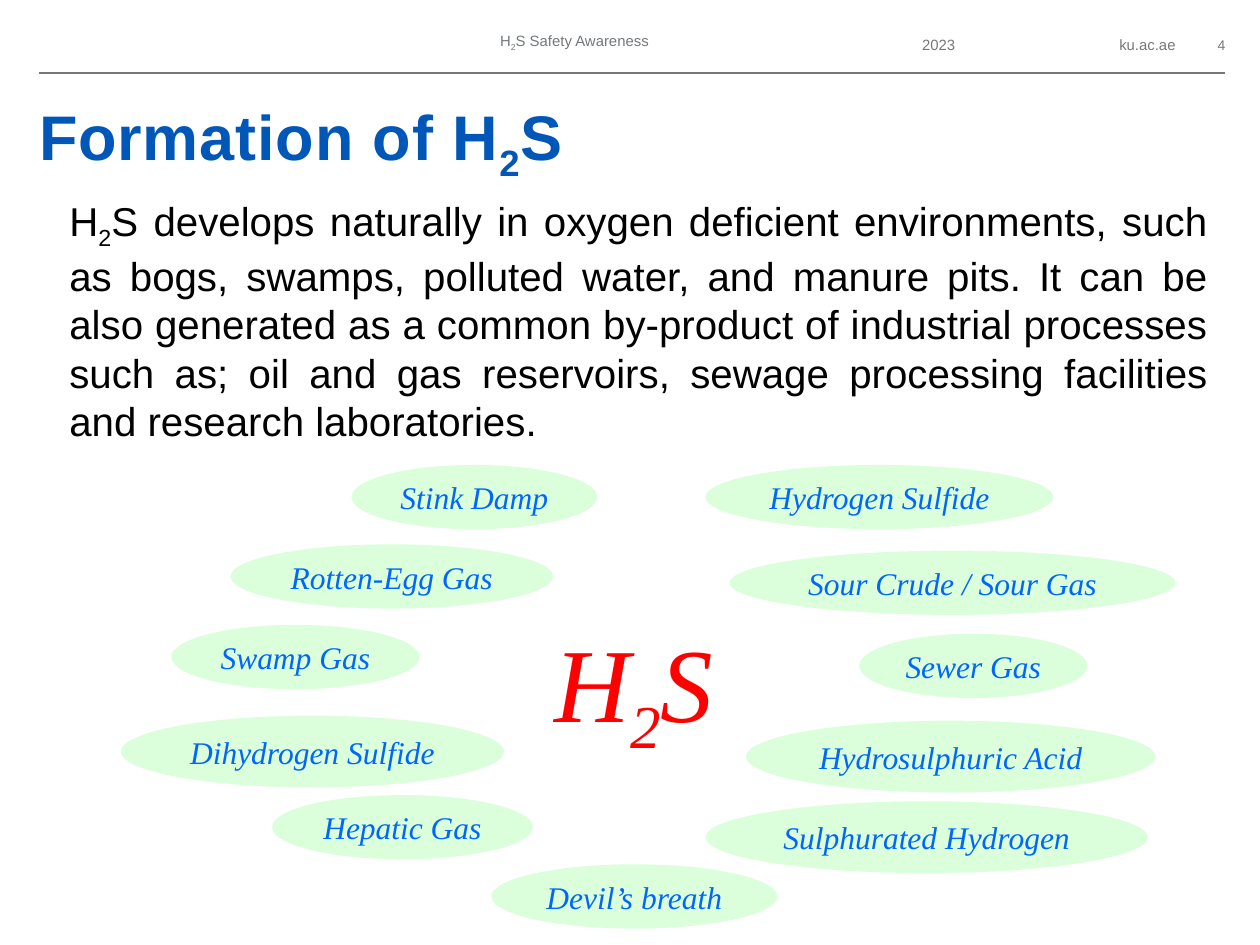
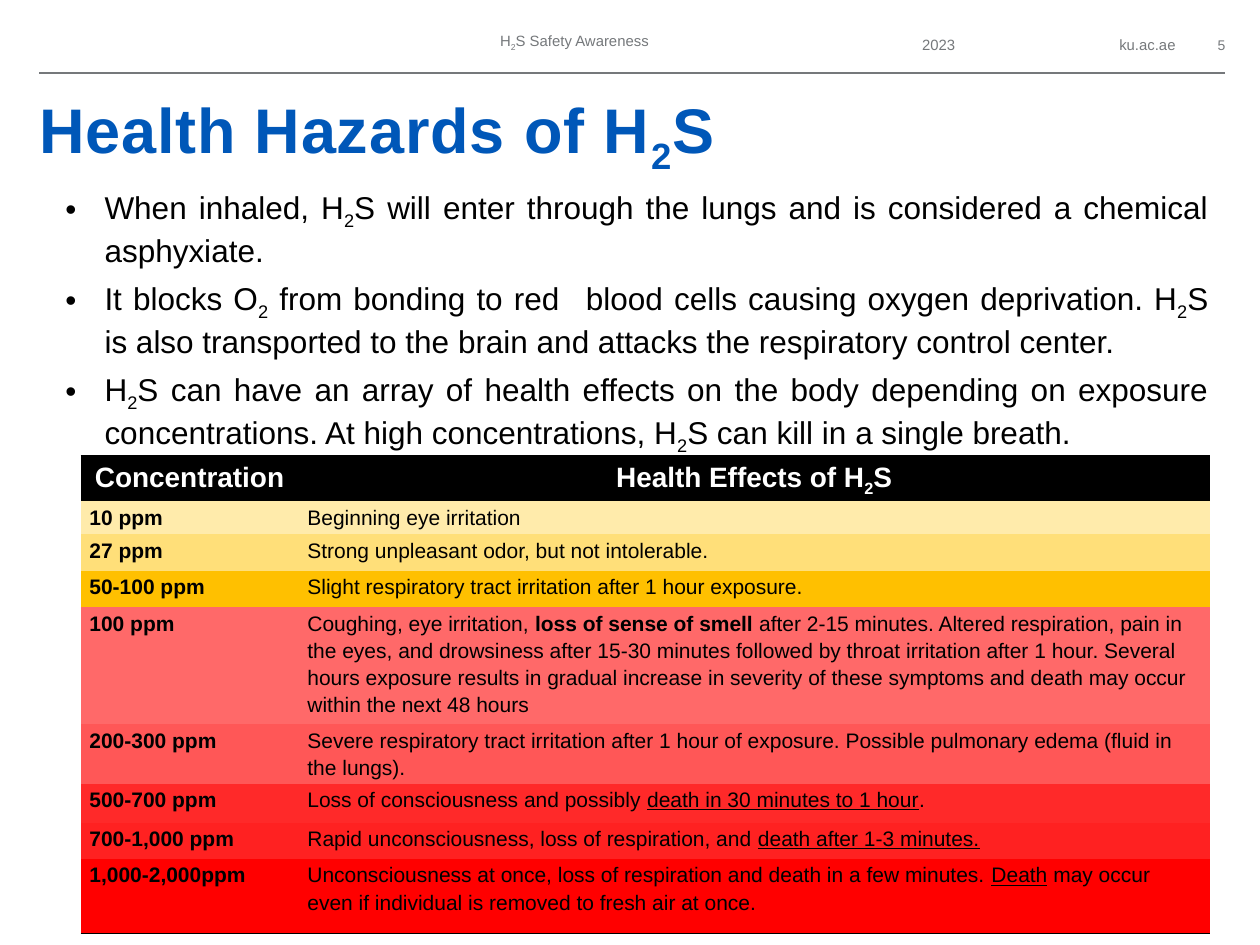
from lxml import etree
from pptx import Presentation, util as u
from pptx.dml.color import RGBColor
from pptx.enum import shapes, text
from pptx.oxml import ns

# Shared look
SANS, SERIF = "Arial", "Times New Roman"
BLUE, GREY, BLACK, WHITE = "0057B8", "75787B", "000000", "FFFFFF"
MINT, NAME_BLUE, RED = "A3FFA3", "0066FF", "FF0000"
LEFT, CENTER, RIGHT = text.PP_ALIGN.LEFT, text.PP_ALIGN.CENTER, text.PP_ALIGN.RIGHT
JUSTIFY = text.PP_ALIGN.JUSTIFY
TOP, MIDDLE, BOTTOM = text.MSO_ANCHOR.TOP, text.MSO_ANCHOR.MIDDLE, text.MSO_ANCHOR.BOTTOM
FIRST_NUMBER = 4

# Content: pieces are split by "|"; ~ is subscript, * bold, _ underlined
HEADER = [  # text, (left, top, width, height), size, alignment
    ("H|~2|S Safety Awareness", (2.88, 0.2, 3.36, 0.27), 8.5, CENTER),
    ("2023", (6.74, 0.22, 1.42, 0.27), 8.5, CENTER),
    ("ku.ac.ae", (8.54, 0.22, 0.79, 0.27), 8.5, RIGHT),
]
NUMBER_AREA = (9.48, 0.22, 0.43, 0.27)
RULE = (0.31, 9.72, 0.58)

FORMATION = (
    "H|~2|S develops naturally in oxygen deficient environments, such as bogs, "
    "swamps, polluted water, and manure pits. It can be also generated as a common "
    "by-product of industrial processes such as; oil and gas reservoirs, sewage "
    "processing facilities and research laboratories."
)
OTHER_NAMES = [  # name, (left, top, width, height)
    ("Stink Damp", (2.79, 3.69, 1.95, 0.51)),
    ("Rotten-Egg Gas", (1.83, 4.32, 2.56, 0.51)),
    ("Swamp Gas", (1.36, 4.96, 1.97, 0.51)),
    ("Dihydrogen Sulfide", (0.96, 5.68, 3.04, 0.57)),
    ("Hepatic Gas", (2.16, 6.31, 2.07, 0.51)),
    ("Devil’s breath", (3.9, 6.86, 2.27, 0.51)),
    ("Sulphurated Hydrogen", (5.6, 6.36, 3.51, 0.57)),
    ("Hydrosulphuric Acid", (5.92, 5.72, 3.25, 0.57)),
    ("Sewer Gas", (6.82, 5.03, 1.81, 0.51)),
    ("Sour Crude / Sour Gas", (5.79, 4.37, 3.54, 0.51)),
    ("Hydrogen Sulfide", (5.6, 3.69, 2.76, 0.51)),
]

HAZARDS = [
    "When inhaled, H|~2|S will enter through the lungs and is considered a chemical "
    "asphyxiate.",
    "It blocks O|~2| from bonding to red \tblood cells causing oxygen deprivation. "
    "H|~2|S is also transported to the brain and attacks the respiratory control center.",
    "H|~2|S can have an array of health effects on the body depending on exposure "
    "concentrations. At high concentrations, H|~2|S can kill in a single breath.",
]
COLUMNS = (1.73, 7.23)
EFFECTS = [  # row height, fill, concentration, effect
    (0.36, BLACK, "Concentration", "Health Effects of H|~2|S"),
    (0.26, "FFEBAB", "10 ppm", "Beginning eye irritation"),
    (0.29, "FFDF79", "27 ppm", "Strong unpleasant odor, but not intolerable."),
    (0.29, "FFC000", "50-100 ppm",
     "Slight respiratory tract irritation after 1 hour exposure."),
    (0.93, "FF6969", "100 ppm",
     "Coughing, eye irritation, |*loss of sense of smell| after 2-15 minutes. Altered "
     "respiration, pain in the eyes, and drowsiness after 15-30 minutes followed by "
     "throat irritation after 1 hour. Several hours exposure results in gradual "
     "increase in severity of these symptoms and death may occur within the next 48 hours"),
    (0.47, "FF5757", "200-300 ppm",
     "Severe respiratory tract irritation after 1 hour of exposure. Possible pulmonary "
     "edema (fluid in the lungs)."),
    (0.31, "FF2929", "500-700 ppm",
     "Loss of consciousness and possibly |_death in 30 minutes to 1 hour|."),
    (0.29, "FF2121", "700-1,000 ppm",
     "Rapid unconsciousness, loss of respiration, and |_death after 1-3 minutes."),
    (0.59, "FF0000", "1,000-2,000ppm",
     "Unconsciousness at once, loss of respiration and death in a few minutes. "
     "|_Death| may occur even if individual is removed to fresh air at once."),
]


def color(hex_string):
    return RGBColor.from_string(hex_string)


def inches(values):
    return [u.Inches(value) for value in values]


def add_xml(parent, tag, index=None, **attributes):
    element = etree.Element(ns.qn(tag), attributes)
    parent.insert(len(parent) if index is None else index, element)
    return element


def write(para, marked, size, hex_string, align=LEFT, face=SANS, bold=False,
          italic=False, spacing=1.0):
    """Fill a paragraph with marked text in one font."""
    para.alignment = align
    para.line_spacing = spacing
    font = para.font
    font.name, font.size, font.bold, font.italic = face, u.Pt(size), bold, italic
    font.color.rgb = color(hex_string)
    for piece in marked.split("|"):
        span = para.add_run()
        mark = piece[0] if piece[0] in "~*_" else ""
        span.text = piece[len(mark):]
        if mark == "~":
            span._r.get_or_add_rPr().set("baseline", "-25000")
        elif mark == "*":
            span.font.bold = True
        elif mark == "_":
            span.font.underline = True


def set_frame(frame, anchor=TOP, insets=(0, 0, 0, 0), wrap=True):
    frame.auto_size = text.MSO_AUTO_SIZE.NONE
    frame.word_wrap = wrap
    frame.vertical_anchor = anchor
    (frame.margin_left, frame.margin_top,
     frame.margin_right, frame.margin_bottom) = inches(insets)


def add_text(page, area, marked, size, hex_string, align, anchor=TOP, **style):
    frame = page.shapes.add_textbox(*inches(area)).text_frame
    set_frame(frame, anchor)
    write(frame.paragraphs[0], marked, size, hex_string, align, **style)


def add_page(deck, title, title_area):
    """Start a page with the shared header, rule and title style."""
    page = deck.slides.add_slide(deck.slide_layouts[5])
    for marked, area, size, align in HEADER:
        add_text(page, area, marked, size, GREY, align, MIDDLE)
    number = str(FIRST_NUMBER + len(deck.slides) - 1)
    add_text(page, NUMBER_AREA, number, 8, GREY, CENTER, MIDDLE)

    start, end, level = inches(RULE)
    rule = page.shapes.add_connector(shapes.MSO_CONNECTOR.STRAIGHT, start, level, end, level)
    rule.line.color.rgb = color(GREY)
    rule.line.width = u.Pt(0.75)
    add_xml(rule._element.spPr, "a:effectLst")

    box = page.shapes.title
    box.left, box.top, box.width, box.height = inches(title_area)
    set_frame(box.text_frame, BOTTOM)
    para = box.text_frame.paragraphs[0]
    write(para, title, 36, BLUE, bold=True)
    for span in para.runs:
        span._r.get_or_add_rPr().set("spc", "50")
    return page


def add_name(page, name, area):
    oval = page.shapes.add_shape(shapes.MSO_SHAPE.OVAL, *inches(area))
    oval.shadow.inherit = False
    oval.fill.solid()
    oval.fill.fore_color.rgb = color(MINT)
    tint = oval._element.spPr.find(".//" + ns.qn("a:srgbClr"))
    add_xml(tint, "a:alpha", val="40000")
    oval.line.fill.background()
    set_frame(oval.text_frame, MIDDLE, (0.1, 0.05, 0.1, 0.05), wrap=False)
    write(oval.text_frame.paragraphs[0], name, 18, NAME_BLUE, CENTER, SERIF, italic=True)


def add_bullets(page, area, items):
    frame = page.shapes.add_textbox(*inches(area)).text_frame
    set_frame(frame)
    indent = u.Inches(0.31)
    for index, item in enumerate(items):
        para = frame.add_paragraph() if index else frame.paragraphs[0]
        properties = para._p.get_or_add_pPr()
        properties.set("marL", str(indent))
        properties.set("indent", str(-indent))
        add_xml(properties, "a:buFont", typeface=SANS)
        add_xml(properties, "a:buChar", char="•")
        write(para, item, 18, BLACK, JUSTIFY)
        para.space_before = u.Pt(3 if index else 0)
        para.space_after = u.Pt(3)


def add_border(cell, side):
    line = add_xml(cell._tc.get_or_add_tcPr(), side, 0, w=str(u.Pt(1)))
    add_xml(add_xml(line, "a:solidFill"), "a:srgbClr", val=BLACK)


def add_effects_table(page, left, top):
    height = sum(row[0] for row in EFFECTS)
    area = inches((left, top, sum(COLUMNS), height))
    table = page.shapes.add_table(len(EFFECTS), len(COLUMNS), *area).table
    table.first_row = table.horz_banding = False
    style = table._tbl.tblPr.find(ns.qn("a:tableStyleId"))
    style.text = "{2D5ABB26-0587-4C30-8999-92F81FD0307C}"  # no style, no grid
    for column, width in zip(table.columns, COLUMNS):
        column.width = u.Inches(width)
    last = len(EFFECTS) - 1
    for row, (height, fill, *entries) in enumerate(EFFECTS):
        table.rows[row].height = u.Inches(height)
        head = row == 0
        for column, entry in enumerate(entries):
            cell = table.cell(row, column)
            cell.fill.solid()
            cell.fill.fore_color.rgb = color(fill)
            (cell.margin_left, cell.margin_top,
             cell.margin_right, cell.margin_bottom) = inches((0.07, 0.01, 0.07, 0))
            write(cell.text_frame.paragraphs[0], entry, 16 if head else 12,
                  WHITE if head else BLACK, CENTER if head else LEFT,
                  bold=head or column == 0, spacing=1.15)
            if head:
                add_border(cell, "a:lnT")
            elif row == last:
                add_border(cell, "a:lnB")


def main():
    deck = Presentation()
    deck.slide_width, deck.slide_height = inches((10, 7.5))

    # Formation and other names of the gas
    page = add_page(deck, "Formation of H|~2|S", (0.31, 0.63, 9.14, 0.83))
    add_text(page, (0.55, 1.56, 9.05, 1.93), FORMATION, 23, BLACK, JUSTIFY)
    add_text(page, (3.74, 4.9, 2.58, 1.11), "H|~2|S", 60, RED, CENTER,
             face=SERIF, italic=True)
    for name, area in OTHER_NAMES:
        add_name(page, name, area)

    # Health hazards by concentration
    page = add_page(deck, "Health Hazards of H|~2|S", (0.31, 0.58, 9.14, 0.82))
    add_bullets(page, (0.52, 1.49, 9.07, 2.07), HAZARDS)
    add_effects_table(page, 0.64, 3.62)

    deck.save("out.pptx")


if __name__ == "__main__":
    main()
